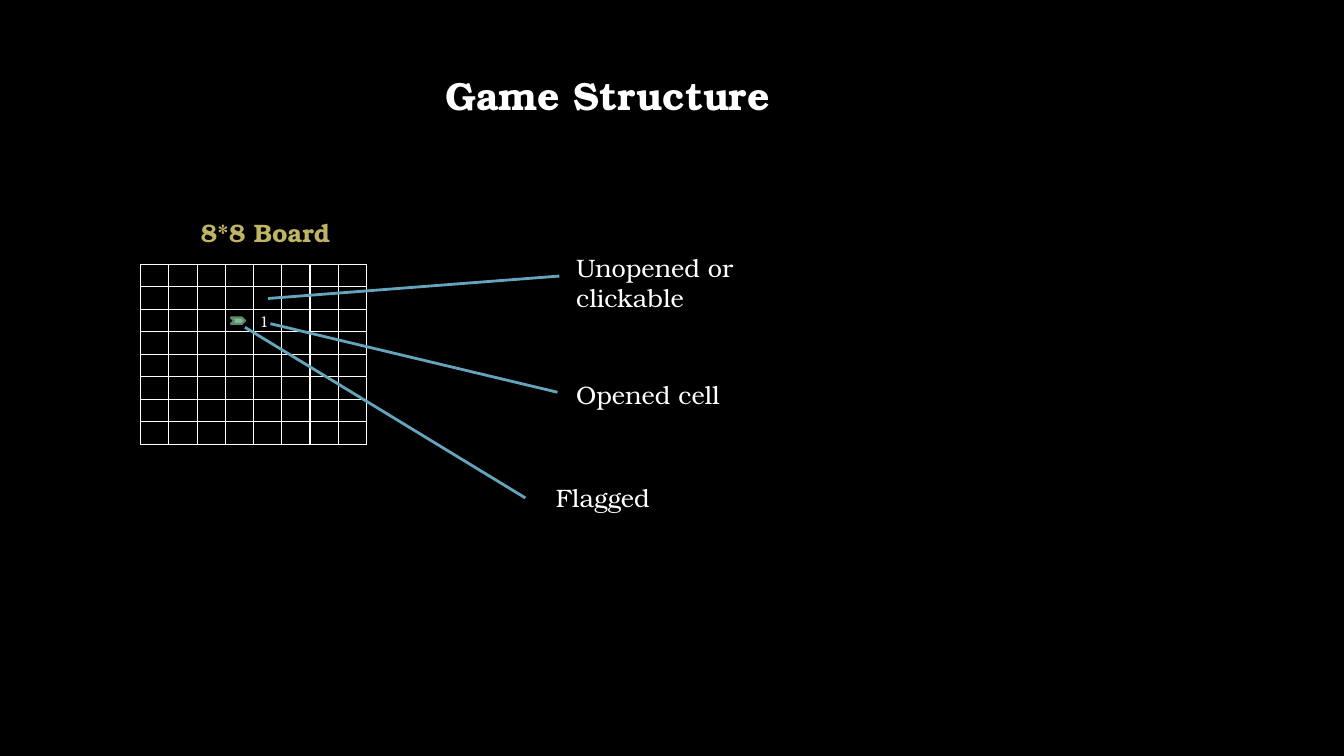
from dataclasses import dataclass

from lxml.etree import SubElement
from pptx import Presentation
from pptx.dml.color import RGBColor
from pptx.enum.shapes import MSO_CONNECTOR, MSO_SHAPE
from pptx.enum.text import MSO_ANCHOR, MSO_AUTO_SIZE, PP_ALIGN
from pptx.oxml.ns import qn
from pptx.util import Pt


@dataclass(frozen=True)
class Theme:
    font: str = "TeX Gyre Bonum"
    background: str = "000000"
    text: str = "FFFFFF"
    heading: str = "BDB564"
    pointer: str = "64A4BD"
    flag: str = "81B992"
    flag_edge: str = "5F896C"
    title_size: float = 28
    label_size: float = 18
    cell_size: float = 11


class SlideBuilder:
    def __init__(self, slide, theme):
        self.slide = slide
        self.theme = theme
        fill = slide.background.fill
        fill.solid()
        fill.fore_color.rgb = RGBColor.from_string(theme.background)

    def style(self, paragraph, size, color, bold=False, align=PP_ALIGN.LEFT):
        paragraph.alignment = align
        font = paragraph.font
        font.name = self.theme.font
        font.size = Pt(size)
        font.bold = bold
        font.color.rgb = RGBColor.from_string(color)

    def title(self, text, left, top, width, height):
        shape = self.slide.shapes.title
        shape.left, shape.top = Pt(left), Pt(top)
        shape.width, shape.height = Pt(width), Pt(height)
        frame = shape.text_frame
        frame.text = text
        frame.auto_size = MSO_AUTO_SIZE.NONE
        frame.vertical_anchor = MSO_ANCHOR.TOP
        self.style(frame.paragraphs[0], self.theme.title_size, self.theme.text,
                   bold=True, align=PP_ALIGN.CENTER)

    def label(self, text, left, top, width, color, **style):
        box = self.slide.shapes.add_textbox(Pt(left), Pt(top), Pt(width), Pt(29))
        frame = box.text_frame
        frame.word_wrap = True
        frame.auto_size = MSO_AUTO_SIZE.SHAPE_TO_FIT_TEXT
        frame.text = text
        self.style(frame.paragraphs[0], self.theme.label_size, color, **style)

    def pointer(self, start, end):
        line = self.slide.shapes.add_connector(
            MSO_CONNECTOR.STRAIGHT, *map(Pt, start), *map(Pt, end))
        line.line.color.rgb = RGBColor.from_string(self.theme.pointer)
        line.line.width = Pt(2)
        SubElement(line._element.spPr, qn("a:effectLst"))

    def flag(self, left, top, width, height):
        shape = self.slide.shapes.add_shape(
            MSO_SHAPE.CHEVRON, Pt(left), Pt(top), Pt(width), Pt(height))
        shape.shadow.inherit = False
        shape.fill.solid()
        shape.fill.fore_color.rgb = RGBColor.from_string(self.theme.flag)
        shape.line.color.rgb = RGBColor.from_string(self.theme.flag_edge)
        shape.line.width = Pt(1.5)

    def board(self, left, top, width, height, size, opened):
        """Draw a square grid of cells; opened maps (row, column) to cell text."""
        table = self.slide.shapes.add_table(
            size, size, Pt(left), Pt(top), Pt(width), Pt(height)).table
        table.first_row = False
        table.horz_banding = False
        for column in table.columns:
            column.width = Pt(width / size)
        for row in table.rows:
            row.height = Pt(height / size)
        for row in range(size):
            for column in range(size):
                self.cell(table.cell(row, column), opened.get((row, column), ""))

    def cell(self, cell, text):
        cell.margin_left = cell.margin_right = cell.margin_top = Pt(0.7)
        cell.margin_bottom = 0
        cell.vertical_anchor = MSO_ANCHOR.BOTTOM
        cell.text = text
        paragraph = cell.text_frame.paragraphs[0]
        self.style(paragraph, self.theme.cell_size, self.theme.text)
        SubElement(paragraph._p, qn("a:endParaRPr"), sz=str(self.theme.cell_size * 100))
        properties = cell._tc.get_or_add_tcPr()
        for side in ("lnL", "lnR", "lnT", "lnB"):
            border = SubElement(properties, qn(f"a:{side}"), w=str(Pt(1)))
            fill = SubElement(border, qn("a:solidFill"))
            SubElement(fill, qn("a:srgbClr"), val=self.theme.text)
        SubElement(properties, qn("a:noFill"))


def main():
    presentation = Presentation()
    presentation.slide_width = Pt(960)
    presentation.slide_height = Pt(540)
    title_only = presentation.slide_layouts[5]
    theme = Theme()
    builder = SlideBuilder(presentation.slides.add_slide(title_only), theme)

    builder.title("Game Structure", 262, 47, 344, 41)
    builder.board(100.5, 188.75, 161.3, 128.8, size=8, opened={(2, 4): " 1"})
    builder.label("8*8 Board", 100.5, 152, 178, theme.heading,
                  bold=True, align=PP_ALIGN.CENTER)
    builder.flag(165, 226.8, 10, 4.5)

    callouts = [
        ("Unopened or clickable", (404.5, 176.5), (191.5, 213.2), (399.6, 197.2)),
        ("Opened cell", (404.5, 267.3), (193.2, 231.2), (398.2, 280.2)),
        ("Flagged", (390, 341), (175, 233.8), (375.3, 355.7)),
    ]
    for text, position, start, end in callouts:
        builder.pointer(start, end)
        builder.label(text, *position, 208, theme.text)

    presentation.save("out.pptx")


if __name__ == "__main__":
    main()
